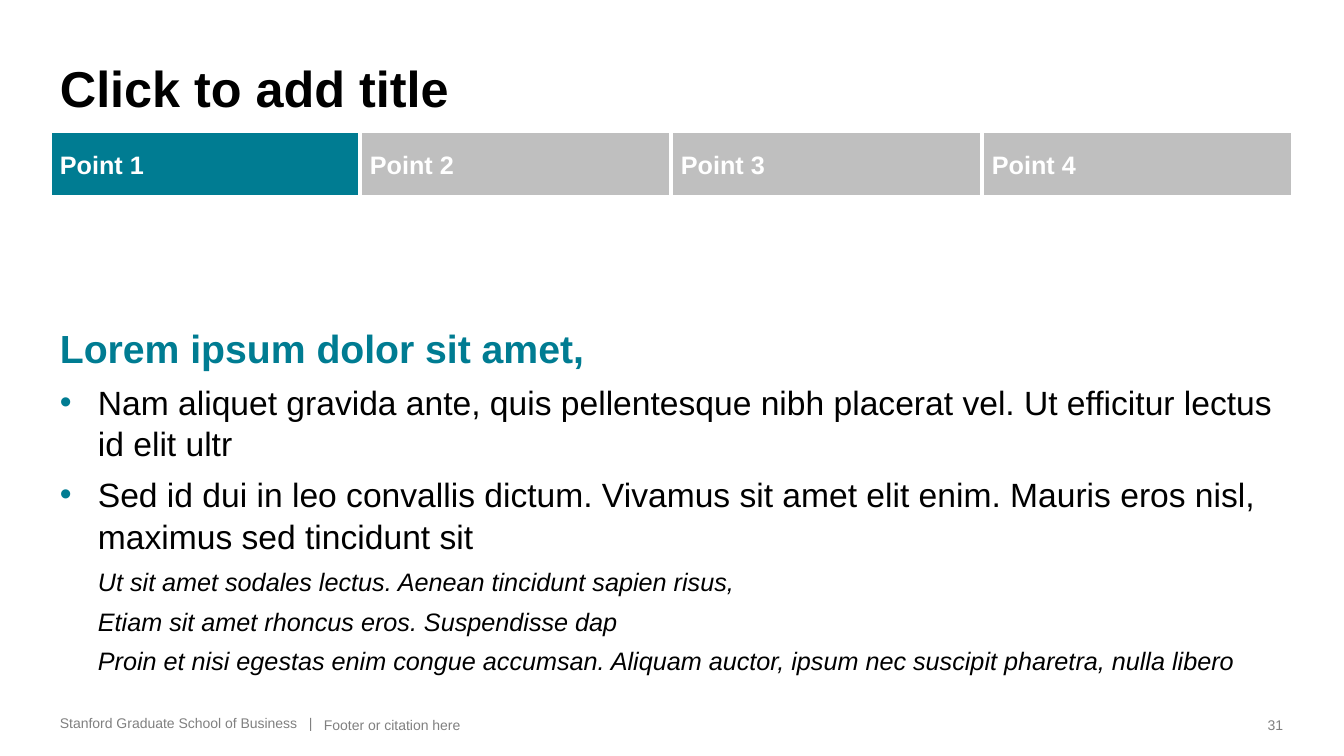
import pptx
import pptx.util
import pptx.dml.color
import pptx.enum.shapes
import pptx.enum.text
import pptx.oxml

PX = 914400 / 100.8
TEAL, GREY, DIM = "007C92", "BFBFBF", "808080"
WHITE, BLACK = "FFFFFF", "000000"
ALIGN = pptx.enum.text.PP_ALIGN
ANCHOR = pptx.enum.text.MSO_ANCHOR


def px(n):
    return pptx.util.Emu(round(n * PX))


def color(code):
    return pptx.dml.color.RGBColor.from_string(code)


def bullet(para):
    """Hang a teal bullet in front of a paragraph."""
    props = para._p.get_or_add_pPr()
    props.set("indent", str(-px(38)))
    ns = 'xmlns:a="http://schemas.openxmlformats.org/drawingml/2006/main"'
    for xml in (f'<a:buClr {ns}><a:srgbClr val="{TEAL}"/></a:buClr>',
                f'<a:buFont {ns} typeface="Arial"/>',
                f'<a:buChar {ns} char="•"/>'):
        props.append(pptx.oxml.parse_xml(xml))


def write(para, text, size=18, ink=BLACK, bold=False, italic=False,
          align=ALIGN.LEFT, before=0, lead=None, left=0, dot=False):
    para.alignment = align
    para.space_before = pptx.util.Pt(before)
    if lead:
        para.line_spacing = lead
    if left:
        para._p.get_or_add_pPr().set("marL", str(px(left)))
    if dot:
        bullet(para)
    para.add_run().text = text
    font = para.font
    for font in (para.font, para.runs[0].font):
        font.name, font.size = "Arial", pptx.util.Pt(size)
        font.bold, font.italic = bold, italic
        font.color.rgb = color(ink)


def frame(slide, box, anchor=ANCHOR.TOP, wrap=True):
    text = slide.shapes.add_textbox(*map(px, box)).text_frame
    text.word_wrap = wrap
    text.vertical_anchor = anchor
    return text


def title(slide, box):
    write(frame(slide, box).paragraphs[0], "Click to add title",
          size=36, bold=True, lead=1.04)


def steps(slide, box, count, now):
    """Row of equal tabs with the current one in teal."""
    x, y, w, h = box
    edges = [x + w * i // count for i in range(count + 1)]
    for i in range(count):
        tab = slide.shapes.add_shape(
            pptx.enum.shapes.MSO_SHAPE.RECTANGLE,
            *map(px, (edges[i], y, edges[i + 1] - edges[i], h)))
        tab.shadow.inherit = False
        tab.fill.solid()
        tab.fill.fore_color.rgb = color(TEAL if i == now else GREY)
        tab.line.color.rgb = color(WHITE)
        tab.line.width = pptx.util.Pt(2.25)
        tab.text_frame.word_wrap = True
        tab.text_frame.vertical_anchor = ANCHOR.MIDDLE
        write(tab.text_frame.paragraphs[0], f"Point {i + 1}",
              ink=WHITE, bold=True)


def body(slide, box, head, points, notes):
    text = frame(slide, box)
    write(text.paragraphs[0], head, size=28, ink=TEAL, bold=True, lead=1.04)
    for point in points:
        write(text.add_paragraph(), point, size=24, before=6.4,
              lead=1.04, left=38, dot=True)
    for note in notes:
        write(text.add_paragraph(), note, italic=True, before=6,
              lead=1.04, left=38)


def footer(slide, box):
    x, y, w, h = box
    parts = [
        ("Stanford Graduate School of Business   |", 0, 274, h - 2, ALIGN.LEFT),
        ("Footer or citation here", 264, 924, h, ALIGN.LEFT),
        ("31", w - 39, 39, h, ALIGN.RIGHT),
    ]
    for words, dx, wide, high, align in parts:
        text = frame(slide, (x + dx, y, wide, high), ANCHOR.BOTTOM, dx > 0)
        write(text.paragraphs[0], words, size=10, ink=DIM, align=align)


def main():
    deck = pptx.Presentation()
    deck.slide_width, deck.slide_height = px(1344), px(756)
    slide = deck.slides.add_slide(deck.slide_layouts[6])
    left, wide = 50, 1243
    title(slide, (left, 50, wide, 72))
    steps(slide, (left, 131, wide, 66), 4, 0)
    body(slide, (left, 317, wide, 376), "Lorem ipsum dolor sit amet,", [
        "Nam aliquet gravida ante, quis pellentesque nibh placerat vel. "
        "Ut efficitur lectus id elit ultr",
        "Sed id dui in leo convallis dictum. Vivamus sit amet elit enim. "
        "Mauris eros nisl, maximus sed tincidunt sit",
    ], [
        "Ut sit amet sodales lectus. Aenean tincidunt sapien risus,",
        "Etiam sit amet rhoncus eros. Suspendisse dap",
        "Proin et nisi egestas enim congue accumsan. Aliquam auctor, "
        "ipsum nec suscipit pharetra, nulla libero",
    ])
    footer(slide, (left, 709, wide, 29))
    deck.save("out.pptx")


if __name__ == "__main__":
    main()
